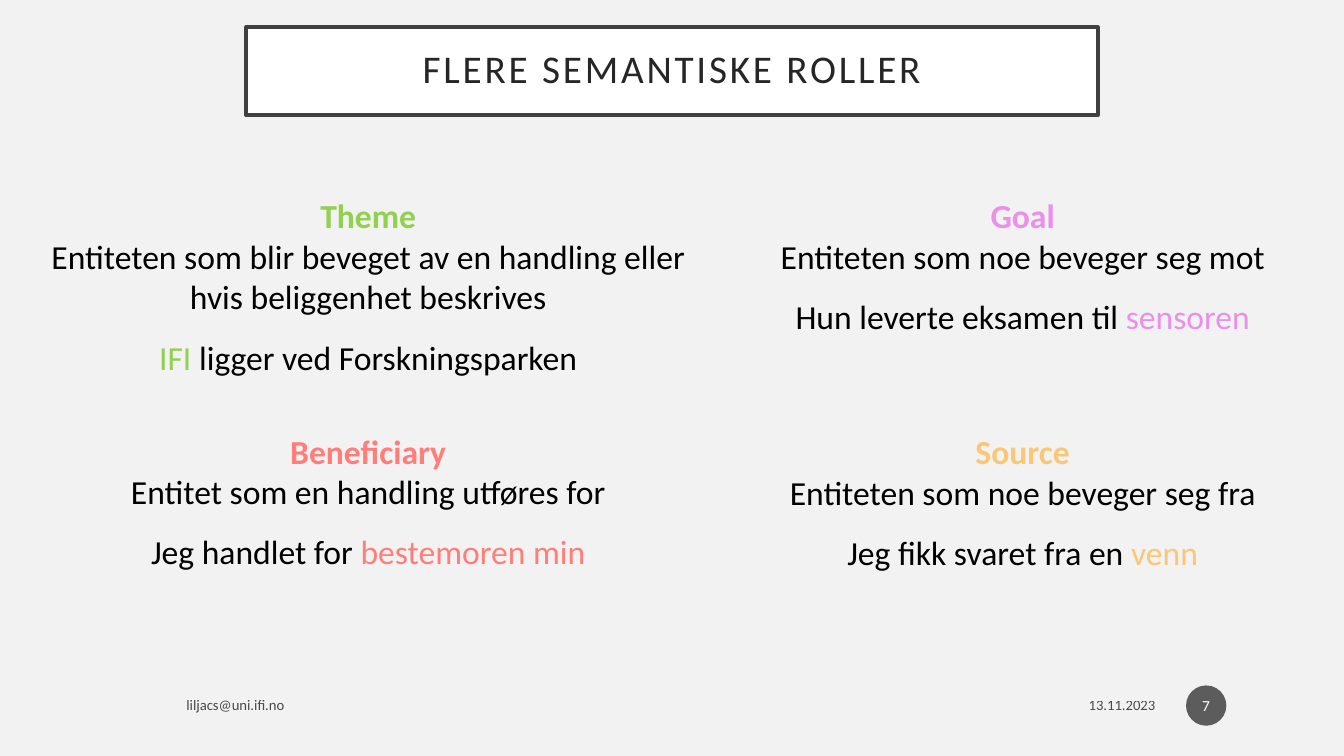
from lxml.etree import SubElement
from pptx import Presentation
from pptx.dml.color import RGBColor
from pptx.enum.shapes import MSO_SHAPE
from pptx.enum.text import MSO_ANCHOR, MSO_AUTO_SIZE, PP_ALIGN
from pptx.oxml.ns import qn
from pptx.util import Pt

# Content: each role has a name, colour, centre x, top, width, definition lines
# and an example whose marked runs take the role colour
TITLE = "FLERE SEMANTISKE ROLLER"
ROLES = [
    ("Theme", "92D050", 263, 136, 472,
     ["Entiteten som blir beveget av en handling eller", "hvis beliggenhet beskrives"],
     [("IFI", True), (" ligger ved Forskningsparken", False)]),
    ("Beneficiary", "FF7E79", 263, 304, 358,
     ["Entitet som en handling utføres for"],
     [("Jeg handlet for ", False), ("bestemoren min", True)]),
    ("Goal", "EA8FEA", 730.5, 136, 364,
     ["Entiteten som noe beveger seg mot"],
     [("Hun leverte eksamen til ", False), ("sensoren", True)]),
    ("Source", "FAC777", 730.5, 304.5, 354,
     ["Entiteten som noe beveger seg fra"],
     [("Jeg fikk svaret fra en ", False), ("venn", True)]),
]
FOOTERS = [
    ("13.11.2023", 615.6, 216.7, PP_ALIGN.RIGHT),
    ("liljacs@uni.ifi.no", 126, 464.4, PP_ALIGN.LEFT),
]
PAGE_NUMBER = "7"
FONT = "Calibri"
BLACK = "000000"
LINE_HEIGHT = 29.3


def paint(color_format, color):
    color_format.rgb = RGBColor.from_string(color)


def make_translucent(element, percent):
    for color in element.iter(qn("a:srgbClr")):
        SubElement(color, qn("a:alpha")).set("val", str(percent * 1000))


def add_run(paragraph, text, size, color, bold=False):
    run = paragraph.add_run()
    run.text = text
    run.font.name = FONT
    run.font.size = Pt(size)
    run.font.bold = bold
    paint(run.font.color, color)
    return run


def set_margins(frame, horizontal, vertical):
    frame.margin_left = frame.margin_right = Pt(horizontal)
    frame.margin_top = frame.margin_bottom = Pt(vertical)


presentation = Presentation()
presentation.slide_width, presentation.slide_height = Pt(960), Pt(540)
slide = presentation.slides.add_slide(presentation.slide_layouts[5])
slide.background.fill.solid()
paint(slide.background.fill.fore_color, "F2F2F2")

# Framed title
title = slide.shapes.title
title.left, title.top, title.width, title.height = Pt(175.8), Pt(19.3), Pt(608.4), Pt(63)
title.fill.solid()
paint(title.fill.fore_color, "FFFFFF")
paint(title.line.color, "404040")
title.line.width = Pt(2.5)
frame = title.text_frame
frame.auto_size = MSO_AUTO_SIZE.NONE
frame.vertical_anchor = MSO_ANCHOR.MIDDLE
set_margins(frame, 14.4, 14.4)
paragraph = frame.paragraphs[0]
paragraph.alignment = PP_ALIGN.CENTER
paragraph.line_spacing = 0.9
title_run = add_run(paragraph, TITLE, 28, "262626")
title_run.font._element.set("spc", "200")

# Date and address
for text, left, width, alignment in FOOTERS:
    box = slide.shapes.add_textbox(Pt(left), Pt(491), Pt(width), Pt(25.2))
    frame = box.text_frame
    frame.word_wrap = True
    frame.vertical_anchor = MSO_ANCHOR.MIDDLE
    paragraph = frame.paragraphs[0]
    paragraph.alignment = alignment
    add_run(paragraph, text, 10.5, BLACK)
    make_translucent(box._element, 70)

# Page number disc
disc = slide.shapes.add_shape(MSO_SHAPE.OVAL, Pt(847.2), Pt(489.6), Pt(28.8), Pt(28.8))
disc.shadow.inherit = False
disc.fill.solid()
paint(disc.fill.fore_color, "1D1D1D")
make_translucent(disc._element, 70)
disc.line.fill.background()
frame = disc.text_frame
frame.vertical_anchor = MSO_ANCHOR.MIDDLE
set_margins(frame, 1.4, 3.6)
frame.paragraphs[0].alignment = PP_ALIGN.CENTER
add_run(frame.paragraphs[0], PAGE_NUMBER, 11, "FFFFFF")

# Semantic roles
for name, color, center, top, width, definition, example in ROLES:
    height = 7.2 + LINE_HEIGHT * (len(definition) + 2.5)
    box = slide.shapes.add_textbox(Pt(center - width / 2), Pt(top), Pt(width), Pt(height))
    frame = box.text_frame
    frame.word_wrap = False
    frame.auto_size = MSO_AUTO_SIZE.SHAPE_TO_FIT_TEXT
    heading = frame.paragraphs[0]
    add_run(heading, name, 24, color, bold=True)
    for line in definition:
        add_run(frame.add_paragraph(), line, 24, BLACK)
    sentence = frame.add_paragraph()
    sentence.line_spacing = 1.5
    for text, marked in example:
        add_run(sentence, text, 24, color if marked else BLACK)
    for paragraph in frame.paragraphs:
        paragraph.alignment = PP_ALIGN.CENTER

presentation.save("out.pptx")
